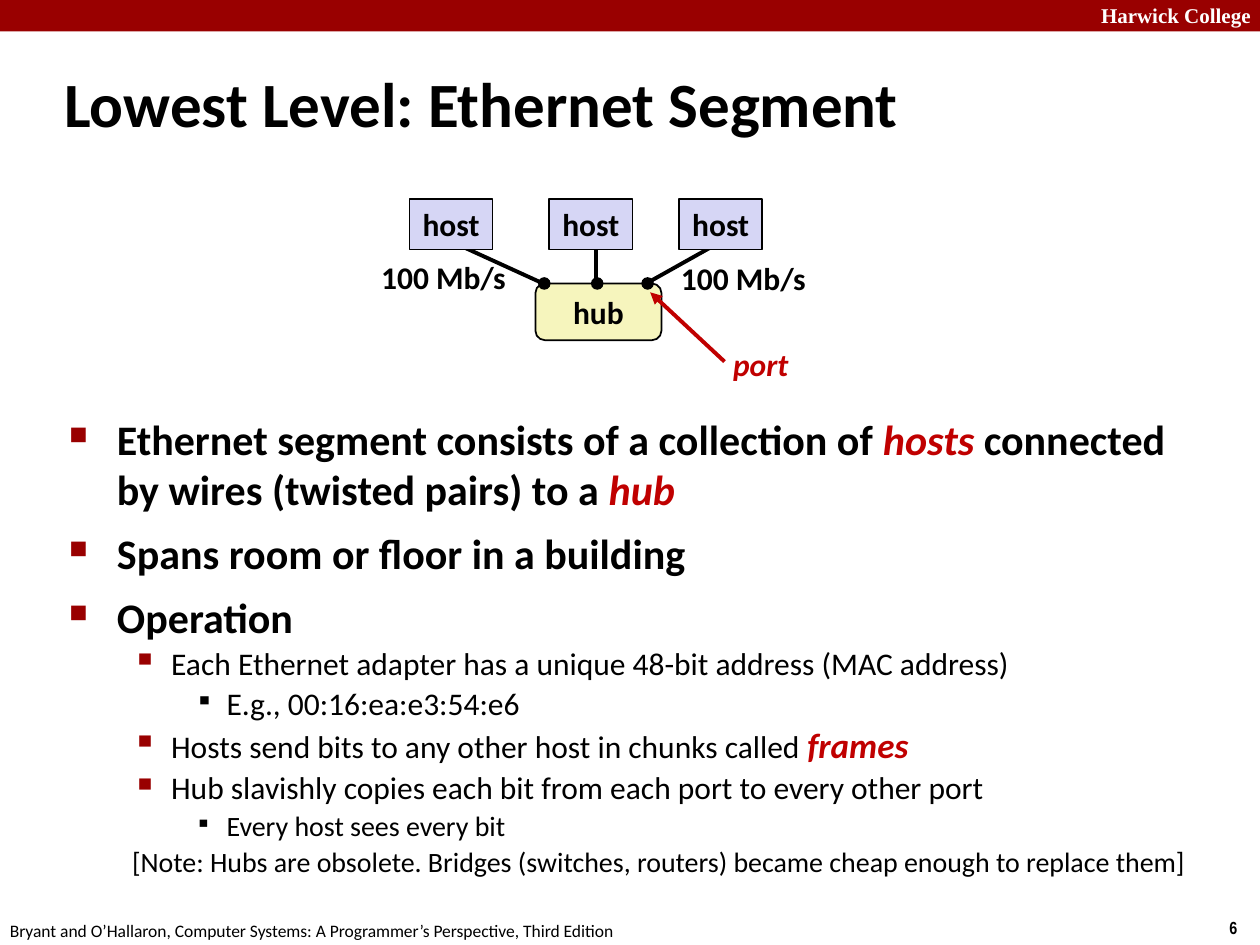
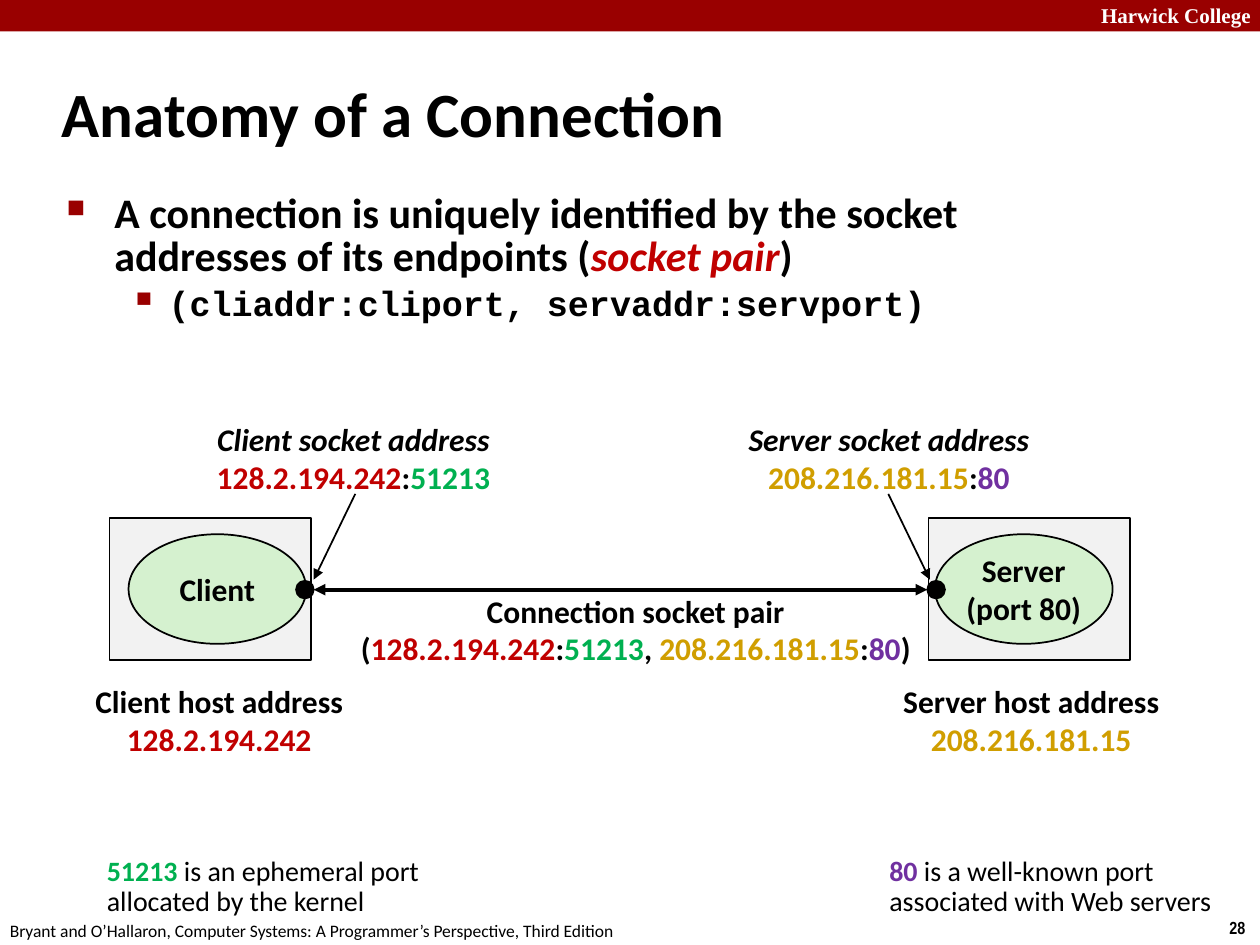
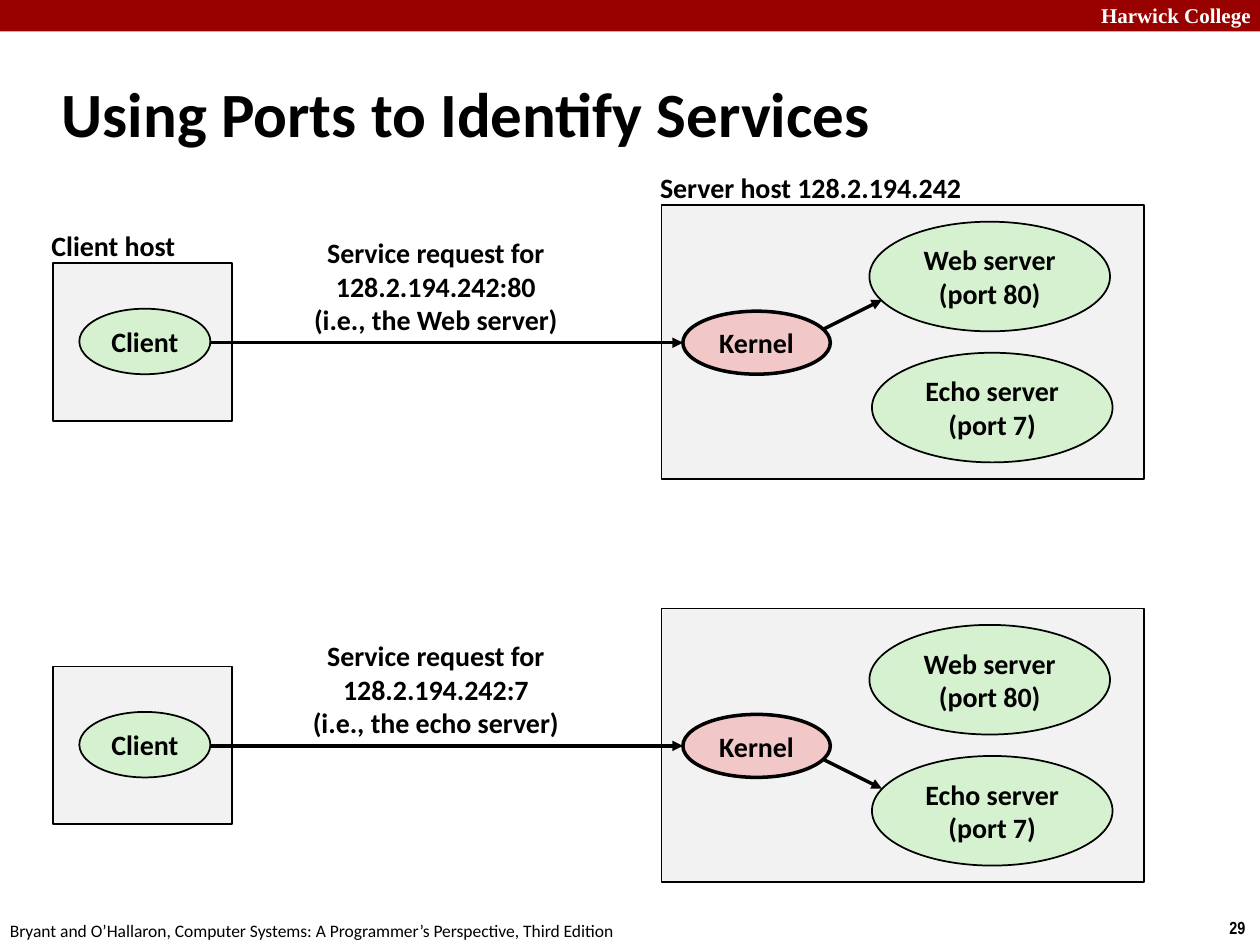
from pptx import Presentation, util as u
from pptx.dml.color import RGBColor
from pptx.enum import shapes, text
from pptx.oxml import ns
from lxml import etree

COLORS = {
    "band": "990000", "black": "000000", "white": "FFFFFF", "red": "C00000",
    "green": "00B050", "gold": "D09E00", "purple": "7030A0", "host": "D6D6F5",
    "hub": "F6F5BD", "machine": "F2F2F2", "process": "D5F1CF", "kernel": "F1C7C7",
}
LEVELS = [
    dict(margin=0.38, indent=-0.38, bullet="■", percent=60, color="band"),
    dict(margin=0.81, indent=-0.31, bullet="▪", percent=110, color="band"),
    dict(margin=1.25, indent=-0.25, bullet="▪", percent=80, color="black"),
    dict(margin=0.5, indent=0, bullet=None),
]
EMPHASIS = dict(color="red", italic=True)
CLIENT_IP = ("128.2.194.242", dict(color="red"))
CLIENT_PORT = ("51213", dict(color="green"))
SERVER_IP = ("208.216.181.15", dict(color="gold"))
SERVER_PORT = ("80", dict(color="purple"))
RECTANGLE = shapes.MSO_SHAPE.RECTANGLE
ROUNDED = shapes.MSO_SHAPE.ROUNDED_RECTANGLE
OVAL = shapes.MSO_SHAPE.OVAL
LEFT, CENTER = text.PP_ALIGN.LEFT, text.PP_ALIGN.CENTER
TOP, MIDDLE = text.MSO_ANCHOR.TOP, text.MSO_ANCHOR.MIDDLE


def rgb(name):
    return RGBColor.from_string(COLORS[name])


def add_element(parent, tag, **attributes):
    element = etree.SubElement(parent, ns.qn(tag))
    for key, value in attributes.items():
        element.set(key, str(value))
    return element


def style_font(font, size=None, color=None, bold=None, italic=None, name=None):
    if size:
        font.size = u.Pt(size)
    if color:
        font.color.rgb = rgb(color)
    if bold is not None:
        font.bold = bold
    if italic is not None:
        font.italic = italic
    if name:
        font.name = name


class Deck:
    """Holds the lecture style and the slide being drawn."""

    def __init__(self):
        self.presentation = Presentation()
        self.presentation.slide_width = u.Inches(10)
        self.presentation.slide_height = u.Inches(7.5)
        self.slide = None

    def new_slide(self, number, title, left=0.39, top=0.48, width=8.3, height=0.83):
        self.slide = self.presentation.slides.add_slide(self.presentation.slide_layouts[5])
        placeholder = self.slide.shapes.title
        placeholder.left, placeholder.top = u.Inches(left), u.Inches(top)
        placeholder.width, placeholder.height = u.Inches(width), u.Inches(height)
        self.fill_text(placeholder, [title], size=36, align=LEFT, wrap=True)
        self.shape(RECTANGLE, 0, 0, 10, 0.25, "band", line=None)
        self.label(8.64, -0.03, 1.43, 0.3, ["Harwick College"], size=12,
                   color="white", name="Times New Roman", align=LEFT)
        self.label(9.66, 7.23, 0.34, 0.27, [str(number)], size=10,
                   name="Arial Narrow", align=LEFT)
        self.label(-0.02, 7.25, 5.08, 0.27,
                   ["Bryant and O’Hallaron, Computer Systems: "
                    "A Programmer’s Perspective, Third Edition"],
                   size=10, bold=False, align=LEFT)

    def fill_paragraph(self, paragraph, runs, **font):
        style_font(paragraph.font, **{"name": "Calibri", "color": "black", **font})
        for item in [runs] if isinstance(runs, str) else runs:
            content, changes = (item, {}) if isinstance(item, str) else item
            run = paragraph.add_run()
            run.text = content
            style_font(run.font, **changes)

    def paragraphs(self, frame, count):
        for _ in range(count - 1):
            frame.add_paragraph()
        return frame.paragraphs

    def fill_text(self, shape, lines, size=18, bold=True, align=CENTER, wrap=False,
                  spacing=None, **font):
        frame = shape.text_frame
        frame.word_wrap = wrap
        frame.auto_size = text.MSO_AUTO_SIZE.NONE
        frame.vertical_anchor = MIDDLE
        for paragraph, runs in zip(self.paragraphs(frame, len(lines)), lines):
            paragraph.alignment = align
            if spacing:
                paragraph.line_spacing = spacing
            self.fill_paragraph(paragraph, runs, size=size, bold=bold, **font)

    def label(self, left, top, width, height, lines, **style):
        box = self.slide.shapes.add_textbox(
            u.Inches(left), u.Inches(top), u.Inches(width), u.Inches(height))
        self.fill_text(box, lines, **style)

    def shape(self, kind, left, top, width, height, fill, lines=(), line=1, **style):
        shape = self.slide.shapes.add_shape(
            kind, u.Inches(left), u.Inches(top), u.Inches(width), u.Inches(height))
        shape.shadow.inherit = False
        shape.fill.solid()
        shape.fill.fore_color.rgb = rgb(fill)
        if line:
            shape.line.color.rgb = rgb("black")
            shape.line.width = u.Pt(line)
        else:
            shape.line.fill.background()
        if lines:
            self.fill_text(shape, lines, **style)

    def line(self, start, end, width, color="black", head=False, tail=False):
        connector = self.slide.shapes.add_connector(
            shapes.MSO_CONNECTOR.STRAIGHT, *map(u.Inches, (*start, *end)))
        connector.line.color.rgb = rgb(color)
        connector.line.width = u.Pt(width)
        outline = connector.line._get_or_add_ln()
        for tag, wanted in (("a:headEnd", head), ("a:tailEnd", tail)):
            if wanted:
                add_element(outline, tag, type="triangle")
        add_element(connector._element.spPr, "a:effectLst")

    def body(self, left, top, width, height, items):
        box = self.slide.shapes.add_textbox(
            u.Inches(left), u.Inches(top), u.Inches(width), u.Inches(height))
        frame = box.text_frame
        frame.word_wrap = True
        frame.vertical_anchor = TOP
        rows = self.paragraphs(frame, len(items))
        for paragraph, (level, before, spacing, font, runs) in zip(rows, items):
            look = LEVELS[level]
            properties = paragraph._p.get_or_add_pPr()
            properties.set("marL", str(u.Inches(look["margin"])))
            properties.set("indent", str(u.Inches(look["indent"])))
            if look["bullet"]:
                color = add_element(properties, "a:buClr")
                add_element(color, "a:srgbClr", val=COLORS[look["color"]])
                add_element(properties, "a:buSzPct", val=look["percent"] * 1000)
                add_element(properties, "a:buChar", char=look["bullet"])
            paragraph.space_before = u.Pt(before)
            paragraph.line_spacing = spacing
            self.fill_paragraph(paragraph, runs, **font)


def ethernet_slide(deck):
    deck.new_slide(6, "Lowest Level: Ethernet Segment", 0.41, 0.5, 8.43, 0.63)
    main = dict(size=24, bold=True)
    detail = dict(size=18, bold=False)
    small = dict(size=16, bold=False)
    deck.body(0.45, 3.23, 9.22, 3.42, [
        (0, 5, 1.0, main, ["Ethernet segment consists of a collection of ",
                           ("hosts", EMPHASIS),
                           " connected by wires (twisted pairs) to a ",
                           ("hub", EMPHASIS)]),
        (0, 12, 0.85, main, "Spans room or floor in a building"),
        (0, 12, 0.85, main, "Operation"),
        (1, 3.6, 0.9, detail,
         "Each Ethernet adapter has a unique 48-bit address (MAC address)"),
        (2, 3.6, 0.9, detail, "E.g., 00:16:ea:e3:54:e6"),
        (1, 3.6, 0.9, detail, ["Hosts send bits to any other host in chunks called ",
                               ("frames", dict(size=20, bold=True, **EMPHASIS))]),
        (1, 3.6, 0.9, detail,
         "Hub slavishly copies each bit from each port to every other port"),
        (2, 3.2, 0.9, small, "Every host sees every bit"),
        (3, 3.2, 0.9, small, "[Note: Hubs are obsolete. Bridges (switches, routers) "
                             "became cheap enough to replace them]"),
    ])
    for start, end in (((3.61, 1.93), (4.53, 2.35)),
                       ((4.73, 1.93), (4.73, 2.27)),
                       ((5.7, 1.93), (4.95, 2.35))):
        deck.line(start, end, 2.25)
    for left in (3.25, 4.36, 5.39):
        deck.shape(RECTANGLE, left, 1.58, 0.66, 0.4, "host", ["host"])
    deck.shape(ROUNDED, 4.25, 2.25, 1, 0.45, "hub", ["hub"])
    for left, top in ((2.92, 2), (5.3, 2.01)):
        deck.label(left, top, 1.2, 0.4, ["100 Mb/s"])
    deck.label(5.72, 2.69, 0.65, 0.4, ["port"], align=LEFT, **EMPHASIS)
    deck.line((5.75, 2.87), (5.16, 2.32), 2.25, "red", tail=True)
    for left in (4.27, 4.69, 5.09):
        deck.shape(OVAL, left, 2.2, 0.1, 0.1, "black", line=None)


def connection_slide(deck):
    deck.new_slide(28, "Anatomy of a Connection")
    deck.body(0.43, 1.49, 8.5, 1.26, [
        (0, 5, 0.85, dict(size=24, bold=True),
         ["A connection is uniquely identified by the socket addresses of its endpoints (",
          ("socket pair", EMPHASIS), ")"]),
        (1, 4, 0.9, dict(size=20, bold=True, name="Courier New"),
         "(cliaddr:cliport, servaddr:servport)"),
    ])
    ends = (
        (0.87, 1.02, 2.35, ["Client"]),
        (7.37, 7.42, 7.36, ["Server", "(port 80)"]),
    )
    for machine, process, socket, name in ends:
        deck.shape(RECTANGLE, machine, 4.11, 1.6, 1.13, "machine")
        deck.shape(OVAL, process, 4.24, 1.41, 0.87, "process", name)
        deck.shape(OVAL, socket, 4.61, 0.14, 0.14, "black")
    deck.line((2.49, 4.68), (7.36, 4.68), 2.25, head=True, tail=True)
    deck.label(2.74, 4.64, 4.61, 0.71, [
        "Connection socket pair",
        ["(", CLIENT_IP, ":", CLIENT_PORT, ", ", SERVER_IP, ":", SERVER_PORT, ")"]])
    addresses = (
        ("Client", CLIENT_IP, CLIENT_PORT, 1.61, 2.39, 0.65, 2.18),
        ("Server", SERVER_IP, SERVER_PORT, 5.64, 2.83, 7.06, 2.25),
    )
    for role, ip, port, socket_left, socket_width, host_left, host_width in addresses:
        deck.label(socket_left, 3.28, socket_width, 0.71, [
            [(f"{role} socket address", dict(italic=True))], [ip, ":", port]])
        deck.label(host_left, 5.36, host_width, 0.71, [f"{role} host address", [ip]])
    for start, end in ((2.82, 2.49), (7.05, 7.38)):
        deck.line((start, 3.92), (end, 4.6), 1, tail=True)
    notes = (
        (0.75, 2.8, CLIENT_PORT, " is an ephemeral port", "allocated by the kernel"),
        (6.96, 2.79, SERVER_PORT, " is a well-known port", "associated with Web servers"),
    )
    for left, width, (port, look), first, second in notes:
        deck.label(left, 6.75, width, 0.59,
                   [[(port, dict(bold=True, **look)), first], second],
                   size=16, bold=False, align=LEFT, spacing=0.9)


def ports_slide(deck):
    deck.new_slide(29, "Using Ports to Identify Services")
    deck.label(0.31, 1.76, 1.19, 0.37, ["Client host"], size=16, align=LEFT)
    deck.label(5.14, 1.3, 2.63, 0.37, ["Server host 128.2.194.242"], size=16, align=LEFT)
    requests = ((2.72, 80, "Web", -1), (5.92, 7, "echo", 1))
    for middle, port, service, direction in requests:
        deck.shape(RECTANGLE, 0.42, middle - 0.63, 1.42, 1.25, "machine")
        deck.shape(RECTANGLE, 5.25, middle - 1.09, 3.83, 2.17, "machine")
        deck.shape(OVAL, 6.9, middle - 0.96, 1.91, 0.87, "process",
                   ["Web server", "(port 80)"], size=16)
        deck.shape(OVAL, 6.92, middle + 0.08, 1.91, 0.87, "process",
                   ["Echo server", "(port 7)"], size=16)
        deck.label(2.01, middle - 0.9, 2.9, 0.9,
                   ["Service request for", f"128.2.194.242:{port}",
                    f"(i.e., the {service} server)"], size=16)
        deck.line((1.67, middle), (5.42, middle), 2, tail=True)
        deck.line((6.5, middle + 0.09 * direction), (7, middle + 0.34 * direction),
                  2, tail=True)
        deck.shape(OVAL, 5.42, middle - 0.25, 1.17, 0.5, "kernel", ["Kernel"],
                   line=2, size=16)
        deck.shape(OVAL, 0.63, middle - 0.27, 1.04, 0.52, "process", ["Client"], size=16)


deck = Deck()
ethernet_slide(deck)
connection_slide(deck)
ports_slide(deck)
deck.presentation.save("out.pptx")
